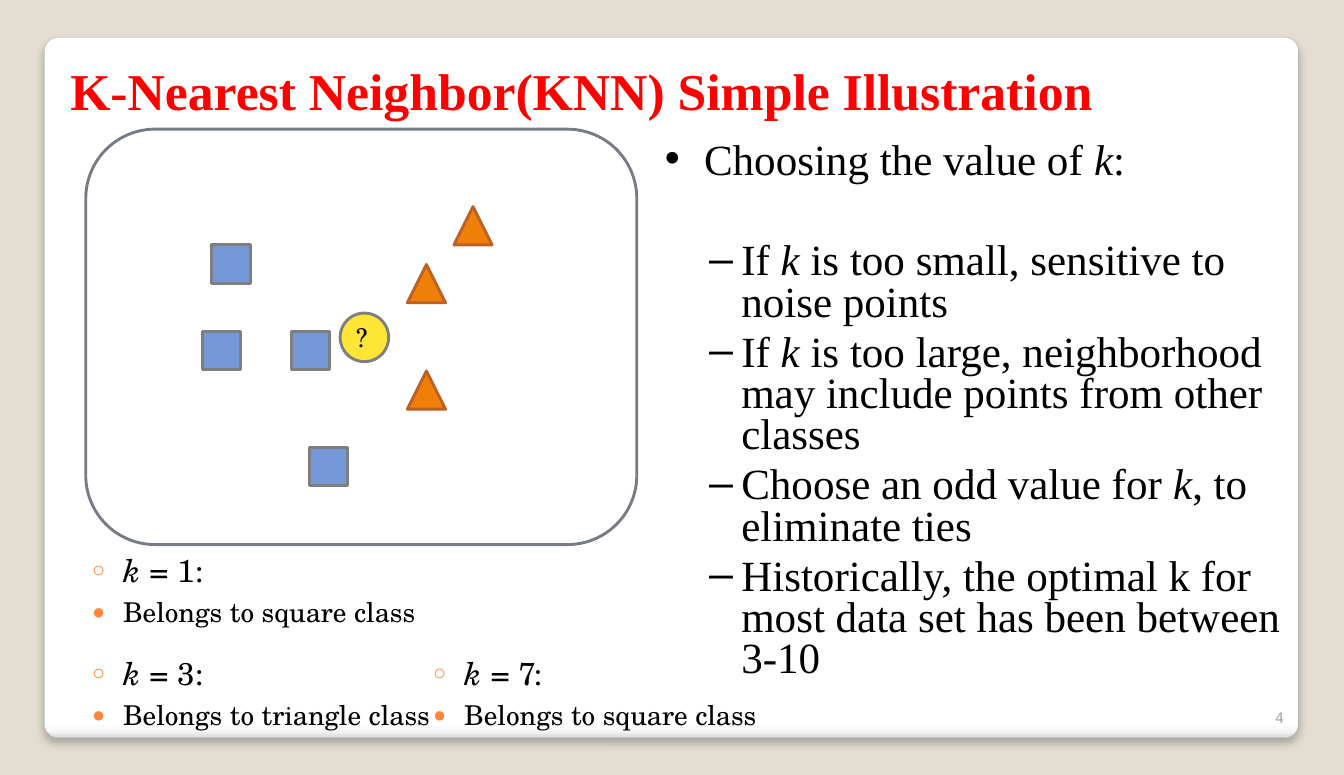
from lxml import etree
from pptx import Presentation
from pptx.dml.color import RGBColor
from pptx.enum.shapes import MSO_SHAPE
from pptx.enum.text import MSO_ANCHOR, MSO_AUTO_SIZE, PP_ALIGN
from pptx.oxml import parse_xml
from pptx.oxml.ns import nsdecls, qn
from pptx.util import Inches, Pt

WIDTH, HEIGHT = Inches(13), Inches(7.5)
COL, ROW = WIDTH / 130, HEIGHT / 75

SQUARE, TRIANGLE = MSO_SHAPE.RECTANGLE, MSO_SHAPE.ISOSCELES_TRIANGLE
ROUNDED, CIRCLE = MSO_SHAPE.ROUNDED_RECTANGLE, MSO_SHAPE.OVAL
TOP, MIDDLE, BOTTOM = MSO_ANCHOR.TOP, MSO_ANCHOR.MIDDLE, MSO_ANCHOR.BOTTOM
LEFT, CENTER, RIGHT = PP_ALIGN.LEFT, PP_ALIGN.CENTER, PP_ALIGN.RIGHT
NO_FIT = MSO_AUTO_SIZE.NONE

SAND = RGBColor(0xE3, 0xDE, 0xD1)
EDGE = RGBColor(0xA4, 0xA4, 0xA4)
FRAME = RGBColor(0x77, 0x7C, 0x84)
GRAY = RGBColor(0x7F, 0x7F, 0x7F)
BLUE = RGBColor(0x75, 0x98, 0xD9)
ORANGE = RGBColor(0xF0, 0x7F, 0x09)
BROWN = RGBColor(0xBB, 0x61, 0x26)
YELLOW = RGBColor(0xFF, 0xE6, 0x36)
RED = RGBColor(0xFF, 0x00, 0x00)
BLACK = RGBColor(0x00, 0x00, 0x00)
PALE = RGBColor(0xA8, 0xA4, 0x9B)
BULLET = RGBColor(0xFE, 0x86, 0x37)

SERIF, SCHOOL, SANS = "Times New Roman", "TeX Gyre Schola", "DejaVu Sans"

CARD_STOPS = [(0, "FFFFFF"), (98, "FFFFFF"), (99, "F7F7F7"), (100, "DADADA")]
SQUARES = [(20.5, 23.7), (19.6, 32.1), (28.2, 32.1), (29.9, 43.3)]
TRIANGLES = [(43.9, 20), (39.4, 25.6), (39.4, 35.9)]
NOTES = [
    (8.5, 53.3, 34.6, "*k* = 1:", "Belongs to square class"),
    (8.5, 63.3, 33.6, "*k* = 3:", "Belongs to triangle class"),
    (41.5, 63.3, 42.6, "*k* = 7:", "Belongs to square class"),
]
ADVICE = [
    "If *k* is too small, sensitive to noise points",
    "If *k* is too large, neighborhood may include points from other classes",
    "Choose an odd value for *k*, to eliminate ties",
    "Historically, the optimal k for most data set has been between 3-10",
]


def grid(x, y, w, h):
    """Turn columns and rows into slide lengths."""
    return [round(n) for n in (x * COL, y * ROW, w * COL, h * ROW)]


def place(sp, x, y, w, h):
    """Move a placeholder to its cell of the grid."""
    sp.left, sp.top, sp.width, sp.height = grid(x, y, w, h)


def set_frame(sp, anchor=TOP, insets=(0.1, 0.05, 0.1, 0.05)):
    """Set the anchor, margins and wrapping of a text frame."""
    tf = sp.text_frame
    tf.word_wrap, tf.auto_size, tf.vertical_anchor = True, NO_FIT, anchor
    tf.margin_left, tf.margin_top, tf.margin_right, tf.margin_bottom = map(Inches, insets)
    return tf


def write(tf, text, size=30, font=SERIF, color=BLACK, bold=False, align=LEFT,
          before=0, spacing=1.0, level=0):
    """Add a paragraph in which *asterisks* enclose italic words."""
    p = tf.paragraphs[0] if not tf.text else tf.add_paragraph()
    p.alignment, p.level = align, level
    p.space_before, p.line_spacing = Pt(before), spacing
    for i, part in enumerate(text.split("*")):
        if part:
            r = p.add_run()
            r.text = part
            r.font.size, r.font.name, r.font.bold = Pt(size), font, bold
            r.font.italic = i % 2 == 1
            r.font.color.rgb = color
    return p


def add_bullet(p, char, indent, hang, color=BLACK, percent=100):
    """Give a paragraph a bullet with a hanging indent."""
    pPr = p._p.get_or_add_pPr()
    pPr.set("marL", str(Inches(indent)))
    pPr.set("indent", str(-Inches(hang)))
    clr = etree.SubElement(pPr, qn("a:buClr"))
    etree.SubElement(clr, qn("a:srgbClr"), val=str(color))
    etree.SubElement(pPr, qn("a:buSzPct"), val=str(percent * 1000))
    etree.SubElement(pPr, qn("a:buChar"), char=char)


def add_shape(shapes, kind, cell, line, fill=None, weight=2):
    """Add an outlined preset shape, filled if a colour is given."""
    sp = shapes.add_shape(kind, *grid(*cell))
    sp.shadow.inherit = False
    sp.line.color.rgb, sp.line.width = line, Pt(weight)
    if fill is None:
        sp.fill.background()
    else:
        sp.fill.solid()
        sp.fill.fore_color.rgb = fill
    return sp


def add_label(shapes, cell, text, anchor, insets=(0.1, 0.05, 0.1, 0.05), **fmt):
    """Add a text box holding one formatted paragraph."""
    write(set_frame(shapes.add_textbox(*grid(*cell)), anchor, insets), text, **fmt)


def add_card(s):
    """Add the shaded white card behind everything else."""
    sp = add_shape(s.shapes, ROUNDED, (4.3, 3.6, 121.3, 67.8), EDGE, weight=0.16)
    sp.adjustments[0] = 0.02
    spPr = sp._element.spPr
    stops = "".join(f'<a:gs pos="{pos * 1000}"><a:srgbClr val="{rgb}"/></a:gs>'
                    for pos, rgb in CARD_STOPS)
    spPr.replace(spPr.find(qn("a:noFill")), parse_xml(
        f'<a:gradFill {nsdecls("a")}><a:gsLst>{stops}</a:gsLst>'
        '<a:lin ang="5400000" scaled="0"/></a:gradFill>'))
    spPr.replace(spPr.find(qn("a:effectLst")), parse_xml(
        f'<a:effectLst {nsdecls("a")}><a:outerShdw blurRad="{Pt(6)}" dist="{Pt(4)}" '
        'dir="5400000" algn="t" rotWithShape="0"><a:srgbClr val="000000">'
        '<a:alpha val="25000"/></a:srgbClr></a:outerShdw></a:effectLst>'))
    s.shapes._spTree.insert(2, sp._element)


def add_illustration(s):
    """Group the framed neighbours around the unknown point."""
    shapes = s.shapes.add_group_shape().shapes
    add_shape(shapes, ROUNDED, (8.3, 12.5, 53.3, 40.2), FRAME)
    for x, y in SQUARES:
        add_shape(shapes, SQUARE, (x, y, 3.7, 3.7), GRAY, BLUE)
    for x, y in TRIANGLES:
        add_shape(shapes, TRIANGLE, (x, y, 3.7, 3.7), BROWN, ORANGE)
    add_shape(shapes, CIRCLE, (32.9, 30.3, 4.7, 4.7), GRAY, YELLOW)
    add_label(shapes, (33.6, 30.4, 3.3, 4.4), "?", MIDDLE, (0.04, 0.04, 0.09, 0.04),
              size=18, font=SCHOOL, align=CENTER)


def fill_note(sp, x, y, w, case, result):
    """Fill a placeholder with one value of k and its result."""
    place(sp, x, y, w, 8.8)
    tf = set_frame(sp, insets=(0, 0, 0.04, 0))
    add_bullet(write(tf, case, size=22, font=SCHOOL, before=6),
               "\u25cb", 0.34, 0.3, BULLET, 69)
    add_bullet(write(tf, result, size=19, font=SCHOOL, before=4.5),
               "\u25cf", 0.34, 0.3, BULLET, 80)


def fill_advice(sp):
    """Fill a placeholder with the advice on choosing k."""
    place(sp, 63.3, 13.3, 62.5, 51.5)
    tf = set_frame(sp, insets=(0.1, 0.05, 0.14, 0.05))
    p = write(tf, "Choosing the value of *k*:", before=6, spacing=0.8)
    add_bullet(p, "\u2022", 0.38, 0.38)
    for i, text in enumerate(ADVICE):
        p = write(tf, text, before=6 if i else 41, spacing=0.8, level=1)
        add_bullet(p, "\u2013", 0.74, 0.31)


def main():
    """Build and save the slide."""
    prs = Presentation()
    prs.slide_width, prs.slide_height = WIDTH, HEIGHT
    s = prs.slides.add_slide(prs.slide_layouts.get_by_name("Comparison"))
    s.background.fill.solid()
    s.background.fill.fore_color.rgb = SAND

    title, *notes, advice = s.placeholders
    place(title, 5.8, 5.2, 101.9, 19.2)
    write(set_frame(title), "K-Nearest Neighbor(KNN) Simple Illustration",
          size=36, color=RED, bold=True)
    for sp, note in zip(notes, NOTES):
        fill_note(sp, *note)
    fill_advice(advice)

    add_card(s)
    add_illustration(s)
    add_label(s.shapes, (118.7, 66.8, 6.5, 4), "4", BOTTOM,
              size=10, font=SANS, color=PALE, align=RIGHT)
    prs.save("out.pptx")


main()
